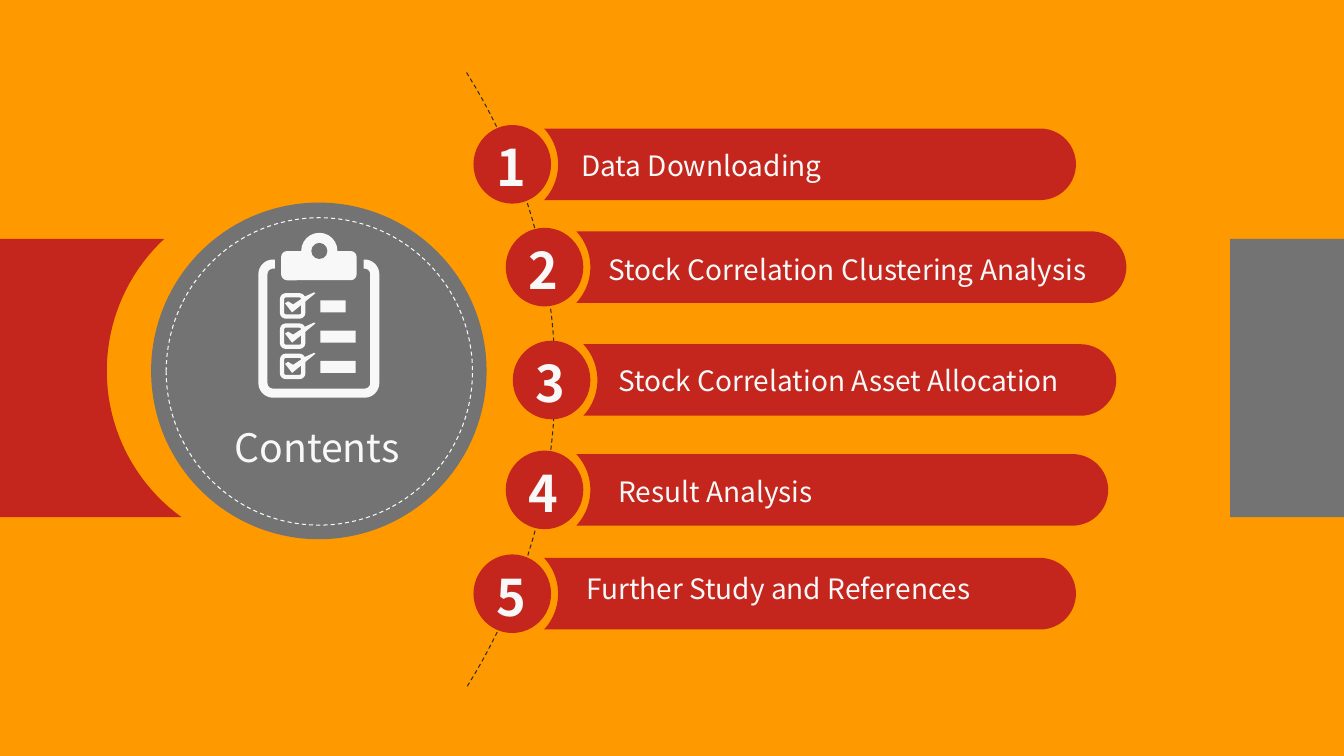
from math import cos, radians, sin

from pptx import Presentation
from pptx.dml.color import RGBColor
from pptx.enum.dml import MSO_LINE
from pptx.enum.shapes import MSO_SHAPE
from pptx.enum.text import MSO_ANCHOR, PP_ALIGN
from pptx.util import Inches, Pt

FONT = "Noto Sans CJK SC"
COLORS = {"background": "FF9900", "red": "C4261D", "gray": "737373",
          "white": "F8F8F8", "dark": "2E2C2C"}
TITLE = "Contents"

# topic, dot left, dot top, pill right, label left, label top, label width
TOPICS = [
    ("Data Downloading", 4.70, 1.24, 10.68, 5.67, 1.42, 4.21),
    ("Stock Correlation Clustering Analysis", 5.02, 2.26, 11.18, 5.94, 2.45, 5.13),
    ("Stock Correlation Asset Allocation", 5.09, 3.38, 11.08, 6.04, 3.55, 4.71),
    ("Result Analysis", 5.02, 4.47, 11.00, 6.04, 4.65, 2.19),
    ("Further Study and References", 4.70, 5.50, 10.68, 5.72, 5.62, 4.15),
]
PILL_HEIGHT = 0.71
BAND_TOP, BAND_HEIGHT = 2.37, 2.76

CHECK_TOP, CHECK_PITCH = 2.93, 0.3
CHECK_BAR_WIDTHS = [0.25, 0.35, 0.35]
TICK = [(2.83, 0.08), (2.86, 0.06), (2.91, 0.09), (3.03, 0.01),
        (3.12, -0.03), (3.13, -0.02), (2.9, 0.17)]

prs = Presentation()
prs.slide_width, prs.slide_height = Inches(13.34), Inches(7.5)
slide = prs.slides.add_slide(prs.slide_layouts[6])


def rgb(name):
    return RGBColor.from_string(COLORS[name])


slide.background.fill.solid()
slide.background.fill.fore_color.rgb = rgb("background")


def paint(shape, fill=None, line=None, weight=0, dashed=False):
    shape.shadow.inherit = False
    if fill:
        shape.fill.solid()
        shape.fill.fore_color.rgb = rgb(fill)
    else:
        shape.fill.background()
    if line:
        shape.line.color.rgb = rgb(line)
        shape.line.width = Pt(weight)
        if dashed:
            shape.line.dash_style = MSO_LINE.DASH
    else:
        shape.line.fill.background()
    return shape


def add_preset(kind, left, top, width, height, **style):
    box = [Inches(v) for v in (left, top, width, height)]
    return paint(slide.shapes.add_shape(kind, *box), **style)


def add_outline(points, close=True, **style):
    points = [(Inches(x), Inches(y)) for x, y in points]
    builder = slide.shapes.build_freeform(*points[0])
    builder.add_line_segments(points[1:], close=close)
    return paint(builder.convert_to_shape(), **style)


def arc(x, y, radius, start, end, steps=40):
    """Points along a circle, in degrees clockwise from the right."""
    angles = [radians(start + (end - start) * i / steps) for i in range(steps + 1)]
    return [(x + radius * cos(a), y + radius * sin(a)) for a in angles]


def write(shape, text, size, bold=False, wrap=True):
    frame = shape.text_frame
    frame.word_wrap = wrap
    frame.vertical_anchor = MSO_ANCHOR.MIDDLE
    paragraph = frame.paragraphs[0]
    paragraph.alignment = PP_ALIGN.LEFT
    run = paragraph.add_run()
    run.text = text
    run.font.name, run.font.size, run.font.bold = FONT, Pt(size), bold
    run.font.color.rgb = rgb("white")


def add_text(left, top, width, height, *text, **options):
    box = [Inches(v) for v in (left, top, width, height)]
    write(slide.shapes.add_textbox(*box), *text, **options)


def add_topic(number, topic, dot_left, dot_top, right, label_left, label_top, label_width):
    middle, cap = dot_top + 0.39, PILL_HEIGHT / 2
    notch = arc(dot_left + 0.32, middle, 0.52, 43, -43)
    add_outline(notch + arc(right - cap, middle, cap, -90, 90), fill="red")
    label = add_preset(MSO_SHAPE.RECTANGLE, label_left, label_top, label_width, 0.44,
                       fill="red")
    write(label, topic, 20)
    add_preset(MSO_SHAPE.OVAL, dot_left, dot_top, 0.77, 0.78, fill="red")
    add_text(dot_left + 0.13, dot_top + 0.06, 0.51, 0.71, str(number), 36,
             bold=True, wrap=False)


def add_clipboard():
    frame = ([(2.73, 2.62)] + arc(2.71, 2.72, 0.1, 270, 180, 8)
             + arc(2.71, 3.8, 0.1, 180, 90, 8) + arc(3.62, 3.8, 0.1, 90, 0, 8)
             + arc(3.62, 2.72, 0.1, 0, -90, 8) + [(3.61, 2.62)])
    add_outline(frame, close=False, line="white", weight=6.5)
    add_preset(MSO_SHAPE.OVAL, 2.99, 2.31, 0.36, 0.36, fill="white")
    clip = add_preset(MSO_SHAPE.ROUNDED_RECTANGLE, 2.79, 2.49, 0.75, 0.29, fill="white")
    clip.adjustments[0] = 0.2
    add_preset(MSO_SHAPE.OVAL, 3.09, 2.41, 0.16, 0.16, fill="gray")
    for i, bar_width in enumerate(CHECK_BAR_WIDTHS):
        top = CHECK_TOP + i * CHECK_PITCH
        add_preset(MSO_SHAPE.ROUNDED_RECTANGLE, 2.8, top, 0.21, 0.21,
                   line="white", weight=3)
        add_outline([(x, top + y) for x, y in TICK], fill="white")
        add_preset(MSO_SHAPE.RECTANGLE, 3.18, top + 0.05, bar_width, 0.12, fill="white")


add_outline(arc(-0.22, 3.77, 5.73, -32.16, 32.16), close=False,
            line="dark", dashed=True)
for number, topic_row in enumerate(TOPICS, 1):
    add_topic(number, *topic_row)

band_bottom = BAND_TOP + BAND_HEIGHT
add_outline([(0, BAND_TOP)] + arc(2.85, 3.68, 1.79, 227, 125.9) + [(0, band_bottom)],
            fill="red")
add_preset(MSO_SHAPE.RECTANGLE, 12.21, BAND_TOP, 1.13, BAND_HEIGHT, fill="gray")

add_preset(MSO_SHAPE.OVAL, 1.5, 2.01, 3.33, 3.34, fill="gray")
add_preset(MSO_SHAPE.OVAL, 1.65, 2.16, 3.04, 3.05, line="white", weight=0.75, dashed=True)
add_clipboard()
add_text(2.23, 4.15, 2.06, 0.57, TITLE, 28)

prs.save("out.pptx")
